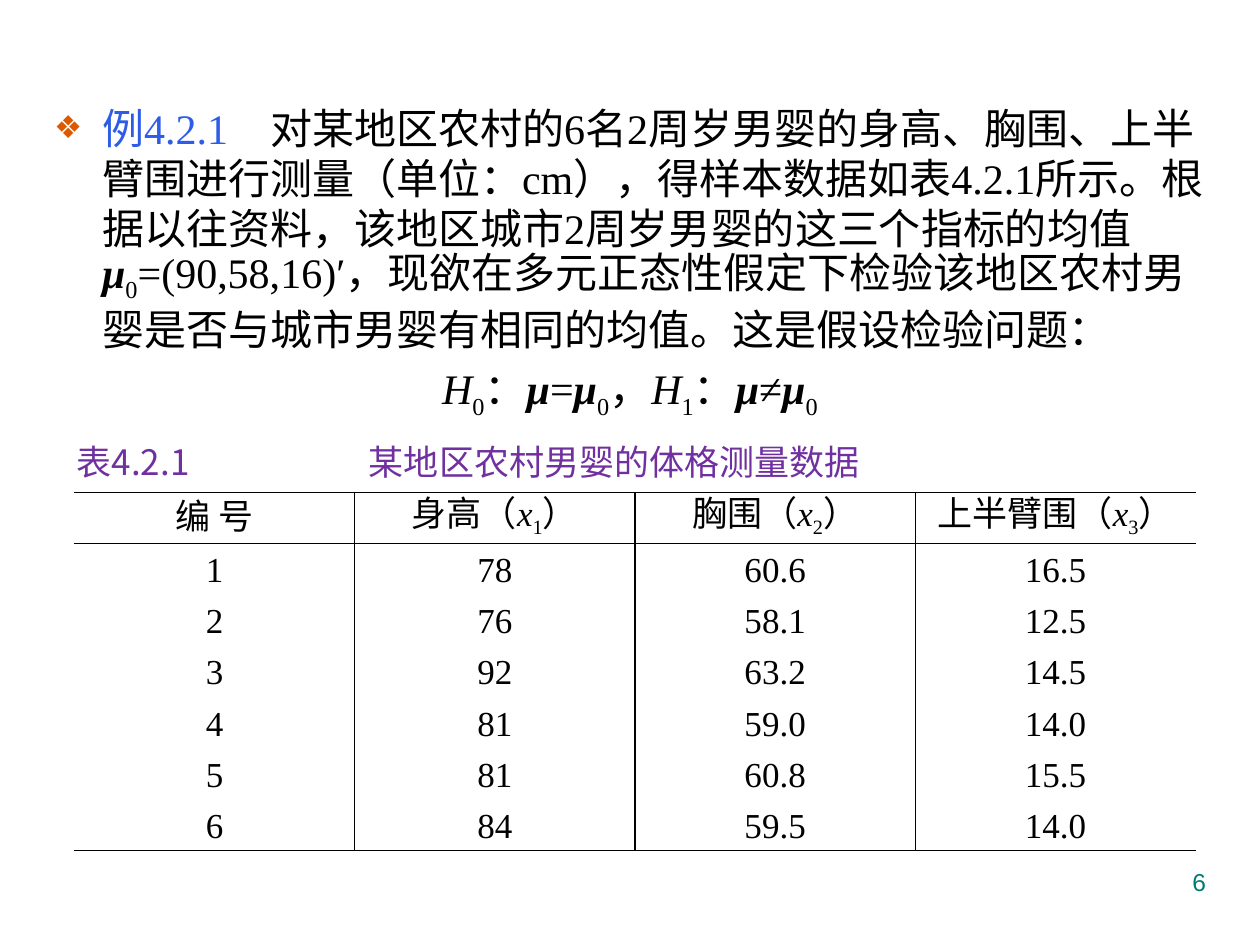
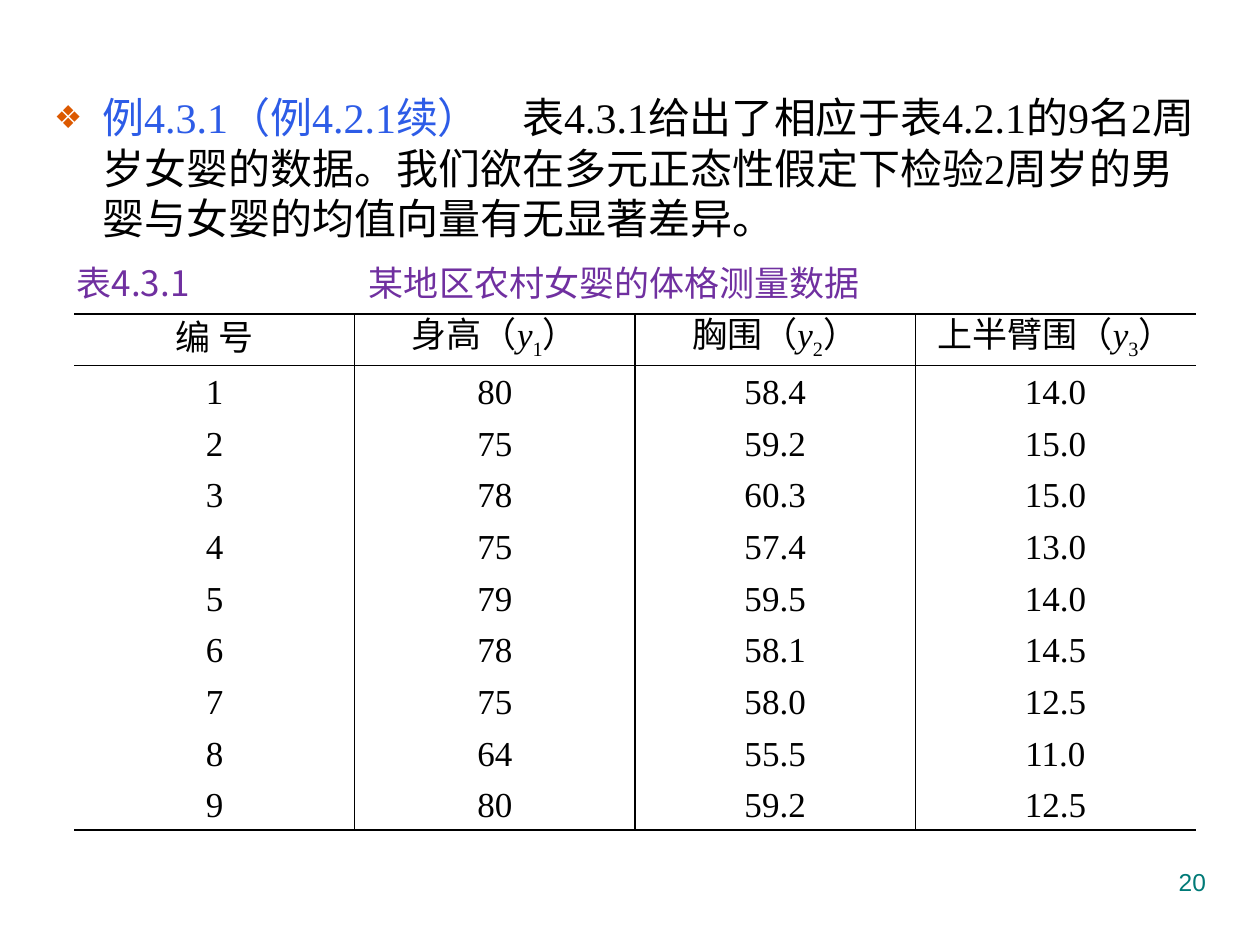
import pptx
import pptx.util
import pptx.dml.color
import pptx.enum.text
import pptx.oxml
import pptx.oxml.ns
import lxml.etree

Inches, Pt = pptx.util.Inches, pptx.util.Pt
ALIGN = pptx.enum.text.PP_ALIGN
ANCHOR = pptx.enum.text.MSO_ANCHOR
qn = pptx.oxml.ns.qn

# Shared colours, fonts and run formats
BLACK, BLUE, ORANGE, PURPLE, TEAL = "000000", "2D5CE7", "DC5900", "7030A0", "007A77"
SERIF, CJK, SANS = "Times New Roman", "Noto Sans CJK SC", "Arial"
PLAIN = {}
EXAMPLE = {"color": BLUE}
VECTOR = {"bold": True, "italic": True}
SYMBOL = {"italic": True}
SUB = {"baseline": "-25000"}
NO_STYLE = "{2D5ABB26-0587-4C30-8999-92F81FD0307C}"


def add_runs(paragraph, pieces, size, font=SERIF, color=BLACK):
    """Add (text, format) pieces to a paragraph in one base style."""
    for text, changes in pieces:
        look = {"size": Pt(size), "name": font, "bold": False, "italic": False,
                "color": color, **changes}
        run = paragraph.add_run()
        run.text = text
        run.font.color.rgb = pptx.dml.color.RGBColor.from_string(look.pop("color"))
        props = run._r.get_or_add_rPr()
        if "baseline" in look:
            props.set("baseline", look.pop("baseline"))
        for attribute, value in look.items():
            setattr(run.font, attribute, value)
        east_asian = pptx.oxml.parse_xml(
            f'<a:ea {pptx.oxml.ns.nsdecls("a")} typeface="{CJK}"/>')
        props.find(qn("a:latin")).addnext(east_asian)


def add_property(parent, tag, **attributes):
    """Append a DrawingML element and return it."""
    return lxml.etree.SubElement(parent, qn(tag), attributes)


pages = [
    {
        "number": "6", "body_top": 0.76, "caption_top": 3.44,
        "table_top": 3.91, "table_height": 2.84,
        "body": [
            [("例4.2.1　", EXAMPLE),
             ("对某地区农村的6名2周岁男婴的身高、胸围、上半臂围进行测量（单位：cm），"
              "得样本数据如表4.2.1所示。根据以往资料，该地区城市2周岁男婴的这三个指标的均值", PLAIN),
             ("μ", VECTOR), ("0", SUB),
             ("=(90,58,16)′，现欲在多元正态性假定下检验该地区农村男婴是否与城市男婴"
              "有相同的均值。这是假设检验问题：", PLAIN)],
            [("H", SYMBOL), ("0", SUB), ("：", PLAIN), ("μ", VECTOR), ("=", PLAIN),
             ("μ", VECTOR), ("0", SUB), ("，", PLAIN), ("H", SYMBOL), ("1", SUB),
             ("：", PLAIN), ("μ", VECTOR), ("≠", PLAIN), ("μ", VECTOR), ("0", SUB)],
        ],
        "caption": "表4.2.1\t某地区农村男婴的体格测量数据",
        "variable": "x",
        "measures": [("78", "60.6", "16.5"), ("76", "58.1", "12.5"),
                     ("92", "63.2", "14.5"), ("81", "59.0", "14.0"),
                     ("81", "60.8", "15.5"), ("84", "59.5", "14.0")],
    },
    {
        "number": "20", "body_top": 0.68, "caption_top": 2.02,
        "table_top": 2.49, "table_height": 4.1,
        "body": [
            [("例4.3.1（例4.2.1续）　", EXAMPLE),
             ("表4.3.1给出了相应于表4.2.1的9名2周岁女婴的数据。我们欲在多元正态性假定下"
              "检验2周岁的男婴与女婴的均值向量有无显著差异。", PLAIN)],
        ],
        "caption": "表4.3.1\t某地区农村女婴的体格测量数据",
        "variable": "y",
        "measures": [("80", "58.4", "14.0"), ("75", "59.2", "15.0"),
                     ("78", "60.3", "15.0"), ("75", "57.4", "13.0"),
                     ("79", "59.5", "14.0"), ("78", "58.1", "14.5"),
                     ("75", "58.0", "12.5"), ("64", "55.5", "11.0"),
                     ("80", "59.2", "12.5")],
    },
]

deck = pptx.Presentation()
deck.slide_width, deck.slide_height = Inches(10), Inches(7.5)

for page in pages:
    slide = deck.slides.add_slide(deck.slide_layouts[1])
    heading = slide.shapes.title._element
    heading.getparent().remove(heading)

    # Example text, with the hypotheses centred below it
    example = slide.placeholders[1]
    example.left, example.top = Inches(0.33), Inches(page["body_top"])
    example.width, example.height = Inches(9.34), Inches(6.67 - page["body_top"])
    example.text_frame.auto_size = pptx.enum.text.MSO_AUTO_SIZE.NONE
    for index, pieces in enumerate(page["body"]):
        is_first = index == 0
        paragraph = (example.text_frame.paragraphs[0] if is_first
                     else example.text_frame.add_paragraph())
        props = paragraph._p.get_or_add_pPr()
        props.set("marL", str(Inches(0.38)))
        props.set("indent", str(-Inches(0.38)))
        if is_first:
            add_property(add_property(props, "a:buClr"), "a:srgbClr", val=ORANGE)
            add_property(props, "a:buSzPct", val="75000")
            add_property(props, "a:buChar", char="❖")
        else:
            add_property(props, "a:buNone")
        paragraph.alignment = ALIGN.LEFT if is_first else ALIGN.CENTER
        paragraph.space_before = Pt(0 if is_first else 9)
        paragraph.line_spacing = Pt(28.8)
        add_runs(paragraph, pieces, 24)

    # Table caption, its name set off by a tab
    caption = slide.shapes.add_textbox(
        Inches(0.51), Inches(page["caption_top"]), Inches(6.71), Inches(0.44)).text_frame
    caption.word_wrap = False
    caption.vertical_anchor = ANCHOR.MIDDLE
    stops = add_property(caption.paragraphs[0]._p.get_or_add_pPr(), "a:tabLst")
    add_property(stops, "a:tab", pos=str(Inches(2.32)), algn="l")
    add_runs(caption.paragraphs[0], [(page["caption"], PLAIN)], 20, CJK, PURPLE)

    # Measurement table: header row, then numbered children
    header = [[("编 号", PLAIN)]]
    for order, measure in enumerate(["身高", "胸围", "上半臂围"], 1):
        header.append([(measure + "（", PLAIN), (page["variable"], SYMBOL),
                       (str(order), SUB), ("）", PLAIN)])
    rows = [header]
    for child, values in enumerate(page["measures"], 1):
        rows.append([[(value, PLAIN)] for value in (str(child), *values)])
    last_row, last_column = len(rows) - 1, len(header) - 1
    table = slide.shapes.add_table(
        len(rows), len(header), Inches(0.59), Inches(page["table_top"]),
        Inches(8.9), Inches(page["table_height"])).table
    table.first_row = table.horz_banding = False
    table._tbl.tblPr.find(qn("a:tableStyleId")).text = NO_STYLE

    for r, row in enumerate(rows):
        for c, pieces in enumerate(row):
            cell = table.cell(r, c)
            cell_format = {"margin_left": Inches(0.08), "margin_right": Inches(0.08),
                           "margin_top": 0, "margin_bottom": 0,
                           "vertical_anchor": ANCHOR.MIDDLE}
            for attribute, value in cell_format.items():
                setattr(cell, attribute, value)
            paragraph = cell.text_frame.paragraphs[0]
            paragraph.alignment = ALIGN.CENTER
            paragraph.line_spacing = Pt(24)
            add_runs(paragraph, pieces, 20)

            # Rules between columns, around the header and under the last row
            ruled = {"a:lnL": c > 0, "a:lnR": c < last_column,
                     "a:lnT": r <= 1, "a:lnB": r in (0, last_row)}
            cell_props = cell._tc.get_or_add_tcPr()
            for side, visible in ruled.items():
                rule = add_property(cell_props, side, w=str(Pt(1)))
                if visible:
                    add_property(add_property(rule, "a:solidFill"), "a:srgbClr", val=BLACK)
                else:
                    add_property(rule, "a:noFill")
            cell.fill.background()

    # Page number
    footer = slide.shapes.add_textbox(
        Inches(7.17), Inches(6.83), Inches(2.5), Inches(0.52)).text_frame
    footer.word_wrap = True
    footer.paragraphs[0].alignment = ALIGN.RIGHT
    add_runs(footer.paragraphs[0], [(page["number"], PLAIN)], 14, SANS, TEAL)

deck.save("out.pptx")
